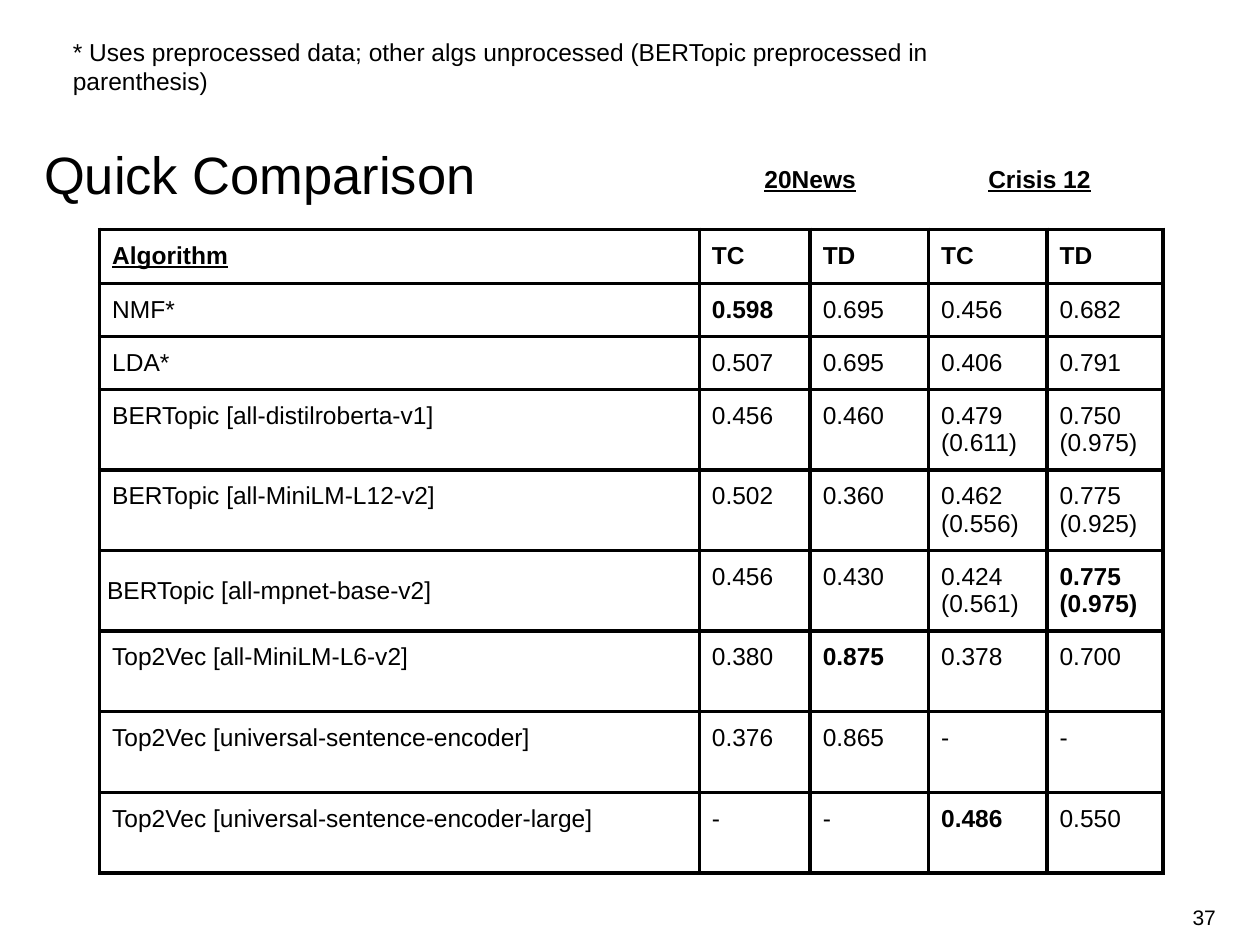
from dataclasses import dataclass

from lxml.etree import SubElement
from pptx import Presentation
from pptx.dml.color import RGBColor
from pptx.enum.text import MSO_ANCHOR, PP_ALIGN
from pptx.oxml.ns import qn
from pptx.util import Inches, Pt

INK = "000000"
COLS = [4.76, 0.88, 0.94, 0.94, 0.92]
HEIGHTS = [0.43, 0.42, 0.42] + [0.64] * 6
BEST = {(1, 1), (5, 4), (6, 2), (8, 3)}
ROWS = [
    ("Algorithm", "TC", "TD", "TC", "TD"),
    ("NMF*", "0.598", "0.695", "0.456", "0.682"),
    ("LDA*", "0.507", "0.695", "0.406", "0.791"),
    ("BERTopic [all-distilroberta-v1]", "0.456", "0.460", "0.479 (0.611)", "0.750 (0.975)"),
    ("BERTopic [all-MiniLM-L12-v2]", "0.502", "0.360", "0.462 (0.556)", "0.775 (0.925)"),
    ("BERTopic [all-mpnet-base-v2]", "0.456", "0.430", "0.424 (0.561)", "0.775 (0.975)"),
    ("Top2Vec [all-MiniLM-L6-v2]", "0.380", "0.875", "0.378", "0.700"),
    ("Top2Vec [universal-sentence-encoder]", "0.376", "0.865", "-", "-"),
    ("Top2Vec [universal-sentence-encoder-large]", "-", "-", "0.486", "0.550"),
]


@dataclass
class Label:
    text: str
    box: tuple[float, float, float, float]
    size: float = 14
    head: bool = False
    align: PP_ALIGN = PP_ALIGN.LEFT
    anchor: MSO_ANCHOR = MSO_ANCHOR.TOP
    pad: tuple[float, float] = (0.1, 0.1)
    space: float | None = None


LABELS = [
    Label("37", (7.41, 7.08, 2.24, 0.4), 12, align=PP_ALIGN.RIGHT,
          anchor=MSO_ANCHOR.MIDDLE, pad=(0, 0.05)),
    Label("Quick Comparison", (0.35, 1.1, 9.31, 0.45), 30, pad=(0, 0), space=1.06),
    Label("20News", (5.75, 1.2, 1.36, 0.44), head=True, align=PP_ALIGN.CENTER),
    Label("Crisis 12", (7.57, 1.2, 1.36, 0.44), head=True, align=PP_ALIGN.CENTER),
    Label("* Uses preprocessed data; other algs unprocessed "
          "(BERTopic preprocessed in parenthesis)", (0.48, 0.19, 8.11, 0.44)),
]


def color(code: str) -> RGBColor:
    return RGBColor.from_string(code)


def style(para, size: float, bold: bool, under: bool) -> None:
    font = para.font
    font.name, font.size = "Arial", Pt(size)
    font.bold, font.underline = bold, under
    font.color.rgb = color(INK)


def set_pad(item, wide: float, high: float) -> None:
    item.margin_left = item.margin_right = Inches(wide)
    item.margin_top = item.margin_bottom = Inches(high)


def add_label(slide, label: Label) -> None:
    frame = slide.shapes.add_textbox(*map(Inches, label.box)).text_frame
    frame.word_wrap = True
    frame.vertical_anchor = label.anchor
    set_pad(frame, *label.pad)
    para = frame.paragraphs[0]
    para.text, para.alignment = label.text, label.align
    if label.space:
        para.line_spacing = label.space
    style(para, label.size, label.head, label.head)


def add_edges(cell) -> None:
    props = cell._tc.get_or_add_tcPr()
    for place, side in enumerate(("a:lnL", "a:lnR", "a:lnT", "a:lnB")):
        line = props.makeelement(qn(side), {"w": str(Pt(2.25))})
        fill = SubElement(line, qn("a:solidFill"))
        SubElement(fill, qn("a:srgbClr"), {"val": INK})
        props.insert(place, line)


def add_scores(slide) -> None:
    size = (sum(COLS), sum(HEIGHTS))
    table = slide.shapes.add_table(
        len(ROWS), len(COLS), Inches(0.79), Inches(1.82), *map(Inches, size)).table
    table.first_row = table.horz_banding = False
    for col, width in zip(table.columns, COLS):
        col.width = Inches(width)
    for r, (row, height) in enumerate(zip(ROWS, HEIGHTS)):
        table.rows[r].height = Inches(height)
        for c, text in enumerate(row):
            cell = table.cell(r, c)
            cell.text = text
            cell.fill.background()
            set_pad(cell, 0.1, 0.1)
            style(cell.text_frame.paragraphs[0], 14,
                  r == 0 or (r, c) in BEST, (r, c) == (0, 0))
            add_edges(cell)
    # The mpnet name is centred with tighter margins
    name = table.cell(5, 0)
    name.vertical_anchor = MSO_ANCHOR.MIDDLE
    set_pad(name, 0.06, 0.06)


def main() -> None:
    deck = Presentation()
    deck.slide_width, deck.slide_height = Inches(10), Inches(7.5)
    slide = deck.slides.add_slide(deck.slide_layouts[6])
    # Score table
    add_scores(slide)
    # Title, group heads, note and page number
    for label in LABELS:
        add_label(slide, label)
    deck.save("out.pptx")


if __name__ == "__main__":
    main()
